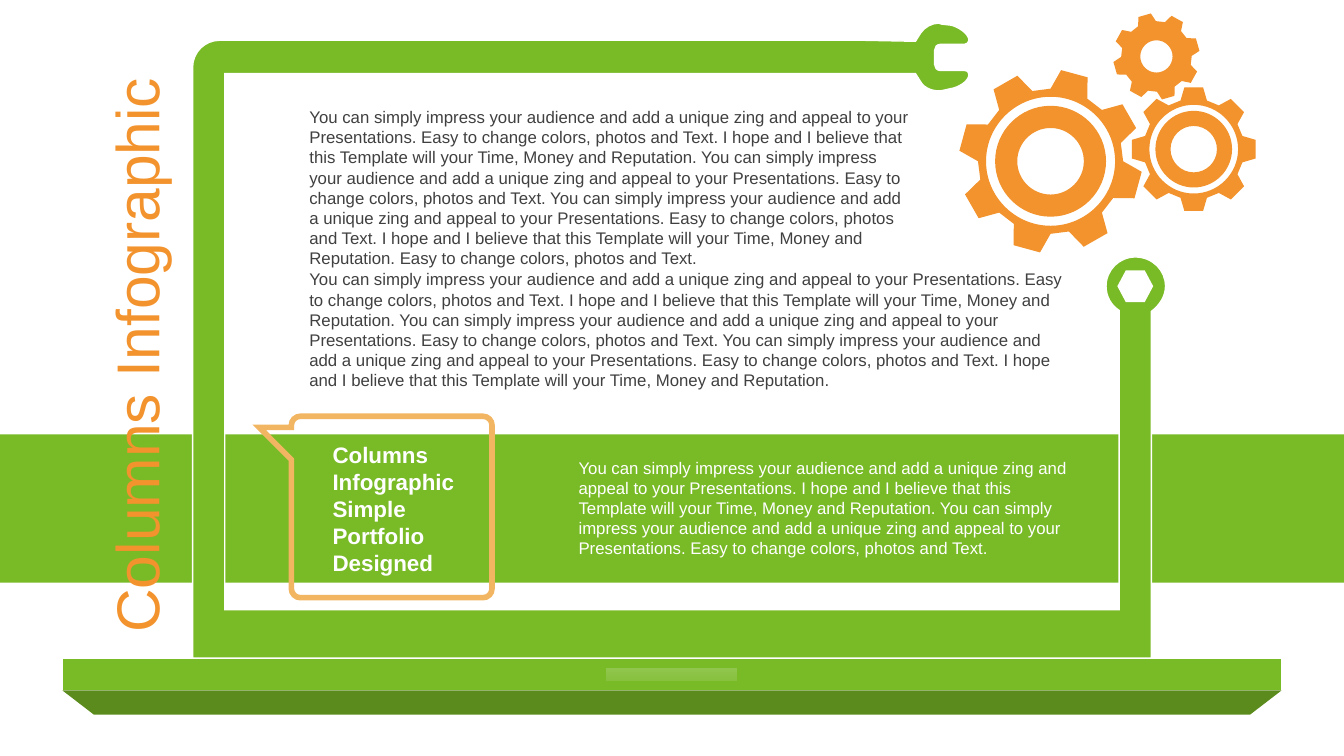
"""Build the laptop and gears infographic slide."""
from dataclasses import dataclass
from math import cos, radians, sin

from lxml import etree
from pptx import Presentation
from pptx.dml.color import RGBColor
from pptx.enum.shapes import MSO_SHAPE
from pptx.enum.text import MSO_ANCHOR, MSO_AUTO_SIZE, PP_ALIGN
from pptx.oxml.ns import qn
from pptx.util import Inches, Pt

RECT, TRAPEZOID = MSO_SHAPE.RECTANGLE, MSO_SHAPE.TRAPEZOID
MIDDLE, CENTER = MSO_ANCHOR.MIDDLE, PP_ALIGN.CENTER
GROW, FIXED = MSO_AUTO_SIZE.SHAPE_TO_FIT_TEXT, MSO_AUTO_SIZE.NONE
TITLE_ONLY = 5
FONT = "Arial"
COLORS = {
    "green": "79BA27",
    "dark_green": "5B8B1D",
    "orange": "F3932D",
    "light_orange": "F2B662",
    "white": "FFFFFF",
    "gray": "404040",
}

IMPRESS = "You can simply impress your audience and add a unique zing and appeal to your Presentations."
EASY = "Easy to change colors, photos and Text."
HOPE = "I hope and I believe that this Template will your Time, Money and Reputation."
LOWER_BODY = " ".join([IMPRESS, EASY, HOPE, IMPRESS, EASY, IMPRESS, EASY, HOPE])
UPPER_BODY = f"{LOWER_BODY} {EASY}"
BAND_BODY = " ".join([IMPRESS, HOPE, IMPRESS, EASY])


@dataclass
class Block:
    box: tuple
    color: str
    line: str | None = None
    shape: int = RECT


@dataclass
class Label:
    text: str
    box: tuple
    color: str
    size: float = 12
    bold: bool = False


@dataclass
class Gear:
    x: float
    y: float
    tip: float
    root: float
    phase: float
    rings: tuple


BAND = Block((0, 4.31, 13.33, 1.47), "green")
BASE = [
    Block((0.62, 6.53, 12.09, 0.32), "green", "white"),
    Block((0.62, 6.85, 12.09, 0.24), "dark_green", shape=TRAPEZOID),
]
TRACKPAD = Block((6.02, 6.63, 1.28, 0.12), "white")
LABELS = [
    Label("Columns Infographic Simple Portfolio Designed", (3.2, 4.33, 1.81, 1.45), "white", 16, True),
    Label(UPPER_BODY, (2.97, 1.01, 6.15, 1.72), "gray"),
    Label(BAND_BODY, (5.64, 4.49, 5.07, 1.11), "white"),
    Label(LOWER_BODY, (2.97, 2.62, 7.74, 1.31), "gray"),
]
GEARS = [
    Gear(10.42, 1.6, 0.91, 0.72, 15.2, (0.64, 0.55, 0.33)),
    Gear(11.84, 1.48, 0.62, 0.5, 0, (0.44, 0.38, 0.23)),
    Gear(11.47, 0.56, 0.43, 0.35, 29, (0.16,)),
]
TEETH, ROOT_HALF, TIP_HALF = 8, 15.2, 8.6
ARC_HANDLE = 0.55

NUT = [(11.17, 2.69), (11.09, 2.84), (11.17, 2.99), (11.35, 2.99), (11.43, 2.84), (11.35, 2.69)]
FRAME = [
    (9.31, 0.23), (9.32, 0.23, 9.33, 0.23, 9.34, 0.24), (9.43, 0.25),
    (9.49, 0.26, 9.61, 0.33, 9.61, 0.4), (9.61, 0.42, 9.59, 0.44, 9.57, 0.44),
    (9.33, 0.44), (9.29, 0.44, 9.27, 0.47, 9.27, 0.5), (9.27, 0.64),
    (9.27, 0.67, 9.29, 0.7, 9.33, 0.7), (9.57, 0.7),
    (9.59, 0.7, 9.61, 0.71, 9.61, 0.74), (9.61, 0.81, 9.5, 0.87, 9.43, 0.88),
    (9.34, 0.9), (9.26, 0.91, 9.17, 0.88, 9.13, 0.81), (9.08, 0.73),
    (2.23, 0.73), (2.23, 6.05), (11.1, 6.05), (11.1, 3.08),
    (11.02, 3.03, 10.97, 2.94, 10.97, 2.84), (10.97, 2.68, 11.1, 2.55, 11.26, 2.55),
    (11.43, 2.55, 11.56, 2.68, 11.56, 2.84), (11.56, 2.94, 11.5, 3.03, 11.42, 3.09),
    (11.42, 6.53), (1.91, 6.53), (1.91, 0.67),
    (1.91, 0.52, 2.03, 0.4, 2.18, 0.4), (8.55, 0.4), (9.08, 0.41), (9.13, 0.33),
    (9.17, 0.27, 9.24, 0.23, 9.31, 0.23),
]
BUBBLE = [
    (2.98, 4.13), (4.79, 4.13), (4.84, 4.13, 4.88, 4.17, 4.88, 4.22), (4.88, 5.84),
    (4.88, 5.89, 4.84, 5.93, 4.79, 5.93), (2.98, 5.93),
    (2.93, 5.93, 2.89, 5.89, 2.89, 5.84), (2.89, 4.56), (2.57, 4.24), (2.89, 4.24),
    (2.89, 4.22), (2.89, 4.17, 2.93, 4.13, 2.98, 4.13),
]


def rgb(name: str) -> RGBColor:
    """Return a named colour."""
    return RGBColor.from_string(COLORS[name])


def polar(gear: Gear, radius: float, angle: float) -> tuple:
    """Return a point around a gear, with the angle clockwise from the top."""
    return gear.x + radius * sin(radians(angle)), gear.y - radius * cos(radians(angle))


def circle(x: float, y: float, r: float) -> list:
    """Return a circle as four curve segments."""
    parts = [(x, y - r)]
    for dx, dy in [(0, -1), (1, 0), (0, 1), (-1, 0)]:
        ex, ey = -dy, dx
        parts.append((
            x + r * (dx + ARC_HANDLE * ex), y + r * (dy + ARC_HANDLE * ey),
            x + r * (ex + ARC_HANDLE * dx), y + r * (ey + ARC_HANDLE * dy),
            x + r * ex, y + r * ey,
        ))
    return parts


def gear_contours(gear: Gear) -> list:
    """Return the toothed rim and the inner circles of a gear."""
    corners = [(gear.root, -ROOT_HALF), (gear.tip, -TIP_HALF), (gear.tip, TIP_HALF), (gear.root, ROOT_HALF)]
    rim = [
        polar(gear, radius, gear.phase + i * 360 / TEETH + offset)
        for i in range(TEETH) for radius, offset in corners
    ]
    return [rim] + [circle(gear.x, gear.y, ring) for ring in gear.rings]


def style(sp, fill: str | None, line: str | None, width: float = 1) -> None:
    """Set the fill and line of a shape and drop its shadow."""
    sp.shadow.inherit = False
    if fill:
        sp.fill.solid()
        sp.fill.fore_color.rgb = rgb(fill)
    else:
        sp.fill.background()
    if line:
        sp.line.color.rgb = rgb(line)
        sp.line.width = Pt(width)
        etree.SubElement(sp.element.spPr.find(qn("a:ln")), qn("a:miter")).set("lim", "800000")
    else:
        sp.line.fill.background()


def add_block(s, block: Block):
    """Draw a preset shape."""
    sp = s.shapes.add_shape(block.shape, *map(Inches, block.box))
    style(sp, block.color, block.line)
    if block.shape == TRAPEZOID:
        sp.adjustments[0] = 1.3
        sp.rotation = 180
    return sp


def add_outline(s, contours: list, fill: str | None, line: str | None, width: float = 1) -> None:
    """Draw closed contours of lines and cubic curves as one freeform."""
    emu = [[tuple(map(Inches, part)) for part in contour] for contour in contours]
    builder = s.shapes.build_freeform(*emu[0][0])
    for i, contour in enumerate(emu):
        if i:
            builder.move_to(*contour[0])
        builder.add_line_segments([part[-2:] for part in contour[1:]], close=True)
    sp = builder.convert_to_shape()
    parts = [part for contour in emu for part in contour[1:]]
    for segment, part in zip(list(sp.element.iter(qn("a:lnTo"))), parts):
        if len(part) == 6:
            segment.tag = qn("a:cubicBezTo")
            for i in (0, 2):
                pt = etree.Element(qn("a:pt"), x=str(part[i] - sp.left), y=str(part[i + 1] - sp.top))
                segment.insert(i // 2, pt)
    style(sp, fill, line, width)


def set_font(r, size: float, color: str, bold: bool = False) -> None:
    """Format a run."""
    r.font.name, r.font.size, r.font.bold = FONT, Pt(size), bold
    r.font.color.rgb = rgb(color)


def add_label(s, label: Label) -> None:
    """Draw a wrapped text box."""
    tf = s.shapes.add_textbox(*map(Inches, label.box)).text_frame
    tf.word_wrap, tf.auto_size, tf.text = True, GROW, label.text
    set_font(tf.paragraphs[0].runs[0], label.size, label.color, label.bold)


def add_trackpad(s) -> None:
    """Draw the trackpad with a fading white gradient."""
    sp = add_block(s, TRACKPAD)
    sp.fill.gradient()
    sp.fill.gradient_angle = 270
    for stop in sp.fill.gradient_stops:
        stop.color.rgb = rgb("white")
    for clr, alpha in zip(sp.element.spPr.iter(qn("a:srgbClr")), (19, 10)):
        etree.SubElement(clr, qn("a:alpha")).set("val", str(alpha * 1000))


def set_title(s) -> None:
    """Place the title upright along the left edge, in front."""
    sp = s.shapes.title
    sp.left, sp.top, sp.width, sp.height = map(Inches, (-1.56, 3.14, 5.89, 0.77))
    sp.rotation = 270
    tf = sp.text_frame
    tf.text = "Columns Infographic"
    tf.word_wrap, tf.auto_size, tf.vertical_anchor = True, FIXED, MIDDLE
    p = tf.paragraphs[0]
    p.alignment, p.line_spacing = CENTER, 0.9
    set_font(p.runs[0], 43.2, "orange")
    s.shapes.element.append(sp.element)


def main() -> None:
    """Build and save the slide."""
    prs = Presentation()
    prs.slide_width, prs.slide_height = Inches(13.33), Inches(7.5)
    s = prs.slides.add_slide(prs.slide_layouts[TITLE_ONLY])
    add_block(s, BAND)
    add_outline(s, [NUT, FRAME], "green", "white")
    for block in BASE:
        add_block(s, block)
    add_trackpad(s)
    add_outline(s, [c for gear in GEARS for c in gear_contours(gear)], "orange", None)
    add_outline(s, [BUBBLE], None, "light_orange", 4)
    for label in LABELS:
        add_label(s, label)
    set_title(s)
    prs.save("out.pptx")


if __name__ == "__main__":
    main()
